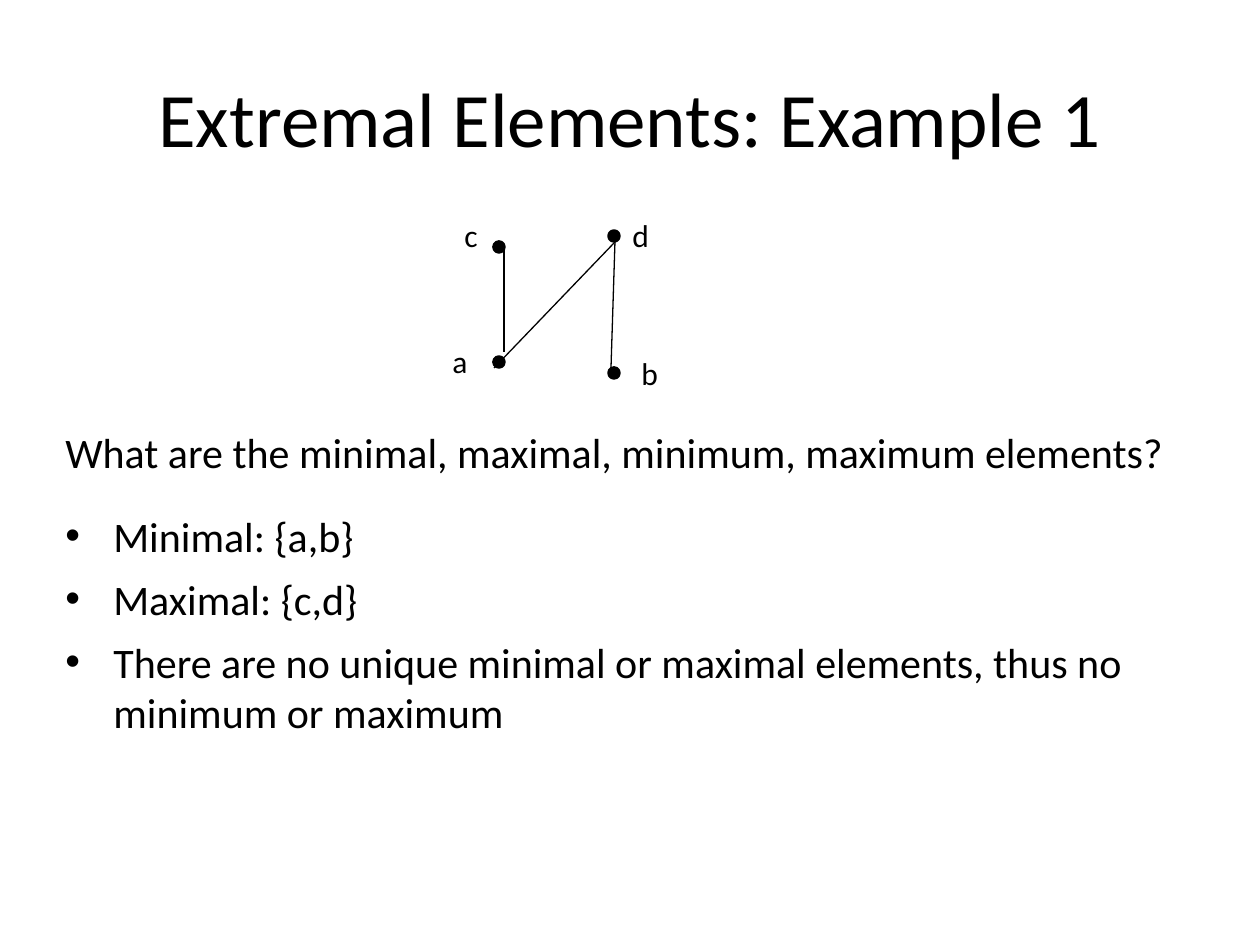
from lxml.etree import SubElement
from pptx import Presentation
from pptx.dml.color import RGBColor
from pptx.enum.shapes import MSO_CONNECTOR, MSO_SHAPE
from pptx.enum.text import MSO_ANCHOR, MSO_AUTO_SIZE, PP_ALIGN
from pptx.oxml.ns import qn
from pptx.util import Emu, Pt

BLACK = RGBColor(0, 0, 0)
FONT = "Calibri"
PX_PER_INCH = 126
DOT = 10
INDENT = 48

NODES = [("a", 494, 357, 440, 336), ("b", 609, 368, 629, 348),
         ("c", 494, 242, 452, 210), ("d", 609, 231, 620, 210)]
EDGES = [(494, 368, 615, 242), (611, 369, 615, 242), (504, 352, 504, 247)]
ANSWERS = [
    ("Minimal: {a,b}", 73),
    ("Maximal: {c,d}", 73),
    ("There are no unique minimal or maximal elements, thus no minimum or maximum", 136),
]


def px(n):
    return Emu(round(n * 914400 / PX_PER_INCH))


def add_text(s, text, x, y, w, h, size, wrap=True):
    tf = s.shapes.add_textbox(px(x), px(y), px(w), px(h)).text_frame
    tf.word_wrap = wrap
    tf.text = text
    font = tf.paragraphs[0].runs[0].font
    font.name, font.size = FONT, Pt(size)
    font.color.rgb = BLACK
    return tf


def add_title(s, text):
    tf = add_text(s, text, 63, 38, 1134, 157, 44)
    tf.vertical_anchor = MSO_ANCHOR.MIDDLE
    tf.paragraphs[0].alignment = PP_ALIGN.CENTER


def add_body(s, text, y, h, bullet=None):
    tf = add_text(s, text, 53, y, 1134, h, 24)
    pPr = tf.paragraphs[0]._p.get_or_add_pPr()
    pPr.set("marL", str(px(INDENT)))
    pPr.set("indent", str(-px(INDENT)))
    if bullet:
        SubElement(pPr, qn("a:buFont"), typeface="Arial")
        SubElement(pPr, qn("a:buChar"), char=bullet)


def add_dot(s, x, y):
    sp = s.shapes.add_shape(MSO_SHAPE.OVAL, px(x), px(y), px(DOT), px(DOT))
    sp.shadow.inherit = False
    sp.fill.solid()
    sp.fill.fore_color.rgb = BLACK
    sp.line.color.rgb = BLACK
    sp.line.width = Pt(2)


def add_edge(s, x1, y1, x2, y2):
    line = s.shapes.add_connector(MSO_CONNECTOR.STRAIGHT, px(x1), px(y1), px(x2), px(y2))
    line.line.color.rgb = BLACK
    line.line.width = Pt(0.75)
    SubElement(line._element.spPr, qn("a:effectLst"))


def add_label(s, text, x, y):
    tf = add_text(s, text, x, y, 42, 50, 18, wrap=False)
    tf.auto_size = MSO_AUTO_SIZE.SHAPE_TO_FIT_TEXT


def main():
    prs = Presentation()
    prs.slide_width, prs.slide_height = px(1260), px(945)
    s = prs.slides.add_slide(prs.slide_layouts[6])
    add_title(s, "Extremal Elements: Example 1")
    add_body(s, "What are the minimal, maximal, minimum, maximum elements?", 420, 73)
    for _, x, y, _, _ in NODES:
        add_dot(s, x, y)
    for edge in EDGES:
        add_edge(s, *edge)
    for name, _, _, x, y in NODES:
        add_label(s, name, x, y)
    for i, (text, h) in enumerate(ANSWERS):
        add_body(s, text, 504 + 63 * i, h, bullet="•")
    prs.save("out.pptx")


if __name__ == "__main__":
    main()
